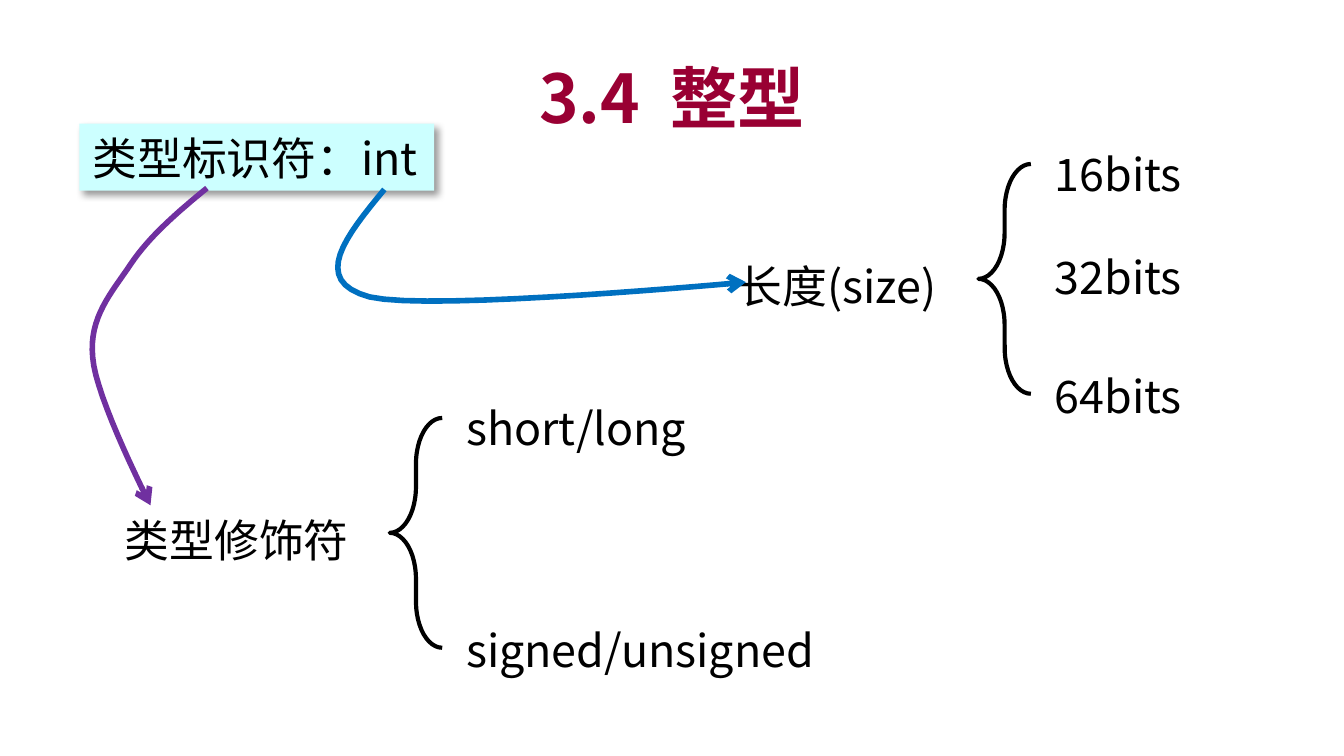
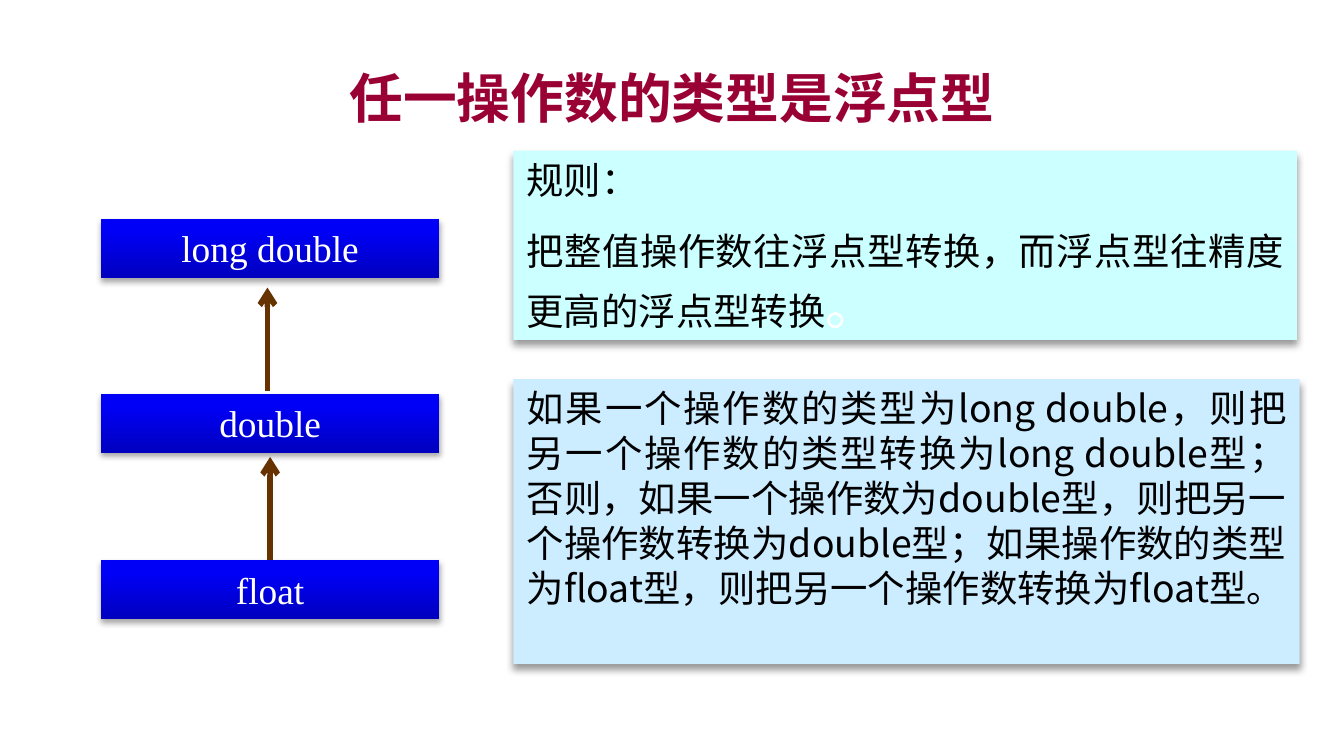
from copy import deepcopy
from dataclasses import dataclass

from lxml import etree
from pptx import Presentation
from pptx.dml.color import RGBColor
from pptx.enum.shapes import MSO_CONNECTOR, MSO_SHAPE
from pptx.enum.text import MSO_ANCHOR, PP_ALIGN
from pptx.oxml.ns import qn
from pptx.util import Emu, Pt

RECT, BRACE = MSO_SHAPE.RECTANGLE, MSO_SHAPE.LEFT_BRACE
STRAIGHT = MSO_CONNECTOR.STRAIGHT
LEFT, CENTER, JUSTIFY = PP_ALIGN.LEFT, PP_ALIGN.CENTER, PP_ALIGN.JUSTIFY
TOP, MIDDLE = MSO_ANCHOR.TOP, MSO_ANCHOR.MIDDLE
PX = 9144
SLIDE_WIDTH = 1000
BLANK = 6
CURVE_STEPS = 16


@dataclass(frozen=True)
class Theme:
    title: str = "990033"
    ink: str = "000000"
    paper: str = "FFFFFF"
    aqua: str = "CCFFFF"
    sky: str = "CCECFF"
    blue_arrow: str = "0070C0"
    purple_arrow: str = "7030A0"
    brown_arrow: str = "663300"
    type_stops: tuple = ((0, "0000BE"), (0.8, "0000F7"), (1, "0000F8"))
    sans: str = "Noto Sans CJK SC"
    sans_alt: str = "Noto Sans CJK KR"
    serif: str = "Times New Roman"
    stop_font: str = "Arial"
    title_size: float = 36
    long_title_size: float = 28.8
    label_size: float = 24
    body_size: float = 20
    stop_size: float = 28
    label_leading: float = 29
    body_leading: float = 24
    stop_leading: float = 34
    brace_line: float = 2.25
    arrow_line: float = 3


THEME = Theme()


def px(*lengths):
    return [Emu(length * PX) for length in lengths]


def rgb(color):
    return RGBColor.from_string(color)


def add_run(paragraph, text, size, font, color, bold=False, spread=0):
    run = paragraph.add_run()
    run.text = text
    run.font.size = Pt(size)
    run.font.bold = bold
    run.font.color.rgb = rgb(color)
    run.font.name = font
    properties = run.font._element
    etree.SubElement(properties, qn("a:ea")).set("typeface", font)
    if spread:
        properties.set("spc", str(spread * 100))


def write(holder, *runs, size=THEME.label_size, font=THEME.sans, color=THEME.ink,
          bold=False, align=LEFT, anchor=TOP, leading=None, before=0):
    frame = holder.text_frame
    frame.word_wrap = True
    frame.vertical_anchor = anchor
    paragraph = frame.paragraphs[0]
    if paragraph.runs:
        paragraph = frame.add_paragraph()
    paragraph.alignment = align
    paragraph.space_before = Pt(before)
    if leading:
        paragraph.line_spacing = Pt(leading)
    base = dict(size=size, font=font, color=color, bold=bold)
    for text, changes in runs:
        add_run(paragraph, text, **{**base, **changes})


def add_label(slide, box, text, font=THEME.sans):
    label = slide.shapes.add_textbox(*px(*box))
    write(label, (text, {}), font=font, leading=THEME.label_leading)


def add_title(slide, *runs, size):
    heading = slide.shapes.add_textbox(*px(75, 44, 850, 56))
    write(heading, *runs, size=size, color=THEME.title, bold=True,
          align=CENTER, anchor=MIDDLE)


def add_shadow(shape, alpha, blur, distance, angle):
    shape.shadow.inherit = False
    effects = shape._element.spPr.find(qn("a:effectLst"))
    shadow = etree.SubElement(effects, qn("a:outerShdw"), blurRad=str(Pt(blur)),
                              dist=str(Pt(distance)), dir=str(angle * 60000),
                              algn="ctr", rotWithShape="0")
    tint = etree.SubElement(shadow, qn("a:srgbClr"), val=THEME.ink)
    etree.SubElement(tint, qn("a:alpha"), val=str(alpha * 1000))


def add_panel(slide, box, fill=None, alpha=40, blur=4, distance=3, angle=90):
    panel = slide.shapes.add_shape(RECT, *px(*box))
    if fill:
        panel.fill.solid()
        panel.fill.fore_color.rgb = rgb(fill)
    else:
        fill_type_gradient(panel)
    panel.line.fill.background()
    add_shadow(panel, alpha, blur, distance, angle)
    return panel


def fill_type_gradient(panel):
    panel.fill.gradient()
    panel.fill.gradient_angle = 90
    stops = panel._element.spPr.find(".//" + qn("a:gsLst"))
    stops.insert(1, deepcopy(stops[0]))
    for stop, (position, color) in zip(panel.fill.gradient_stops, THEME.type_stops):
        stop.position = position
        stop.color.rgb = rgb(color)


def point_line(line_shape, color):
    line_shape.line.color.rgb = rgb(color)
    line_shape.line.width = Pt(THEME.arrow_line)
    properties = line_shape._element.spPr
    etree.SubElement(properties.find(qn("a:ln")), qn("a:tailEnd"), type="arrow")
    if properties.find(qn("a:effectLst")) is None:
        etree.SubElement(properties, qn("a:effectLst"))


def bezier(p0, p1, p2, p3):
    for step in range(1, CURVE_STEPS + 1):
        t = step / CURVE_STEPS
        u = 1 - t
        yield tuple(round(u**3 * a + 3 * u * u * t * b + 3 * u * t * t * c + t**3 * d)
                    for a, b, c, d in zip(p0, p1, p2, p3))


def add_curved_arrow(slide, color, origin, *knots):
    left, top = origin
    knots = [px(left + x, top + y) for x, y in ((0, 0), *knots)]
    points = [point for start in range(0, len(knots) - 1, 3)
              for point in bezier(*knots[start:start + 4])]
    builder = slide.shapes.build_freeform(*knots[0])
    builder.add_line_segments(points, close=False)
    arrow = builder.convert_to_shape()
    arrow.fill.background()
    arrow.shadow.inherit = False
    point_line(arrow, color)


def add_brace_group(slide, box, choices, label_width, font=THEME.sans):
    left, top, width, height = box
    brace = slide.shapes.add_shape(BRACE, *px(*box))
    brace.adjustments[0] = 0.88
    brace.adjustments[1] = 0.5
    brace.fill.background()
    brace.line.color.rgb = rgb(THEME.ink)
    brace.line.width = Pt(THEME.brace_line)
    brace.shadow.inherit = False
    for text, drop in choices:
        add_label(slide, (left + width + 8, top + drop, label_width, 50), text, font)


def add_type_ladder(slide, box):
    left, top, width, step_height = box
    for name, drop in (("float", 254), ("double", 130), ("long double", 0)):
        step = add_panel(slide, (left, top + drop, width, step_height),
                         alpha=35, blur=3.1, distance=1.8)
        write(step, (name, {}), size=THEME.body_size, font=THEME.serif,
              color=THEME.paper, align=CENTER)
    for x, drop in ((126, 254), (124, 128)):
        arrow = slide.shapes.add_connector(
            STRAIGHT, *px(left + x, top + drop, left + x, top + drop - 77))
        point_line(arrow, THEME.brown_arrow)


def add_rule_panel(slide, box):
    rule = add_panel(slide, box, THEME.aqua)
    write(rule, ("规则：", {}), size=THEME.body_size, leading=THEME.body_leading)
    write(rule, ("把整值操作数往浮点型转换，而浮点型往精度更高的浮点型转换", {}),
          ("。", dict(size=THEME.stop_size, color=THEME.paper)),
          size=THEME.body_size, align=JUSTIFY, leading=THEME.stop_leading, before=4)


def add_detail_panel(slide, box):
    detail = add_panel(slide, box, THEME.sky)
    write(detail,
          ("如果一个操作数的类型为long double，则把另一个操作数的类型转换为long double型；"
           "否则，如果一个操作数为double型，则把另一个操作数转换为double型；"
           "如果操作数的类型为float型，则把另一个操作数转换为float型", {}),
          ("。", dict(font=THEME.stop_font)),
          size=THEME.body_size, align=JUSTIFY, leading=THEME.body_leading)


def build_integer_slide(slide):
    add_title(slide, ("3.4", {}), (" ", dict(spread=8)), ("整型", {}),
              size=THEME.title_size)
    identifier = add_panel(slide, (59, 92, 264, 50), THEME.aqua, angle=45)
    write(identifier, ("类型标识符：int", {}), leading=THEME.label_leading)
    add_label(slide, (83, 376, 188, 50), "类型修饰符")
    add_brace_group(slide, (290, 311, 39, 171),
                    (("short/long", -18), ("signed/unsigned", 147)),
                    317, THEME.sans_alt)
    add_label(slide, (539, 187, 170, 50), "长度(size)")
    add_brace_group(slide, (728, 122, 39, 171),
                    (("16bits", -18), ("32bits", 59), ("64bits", 147)), 119)
    add_curved_arrow(slide, THEME.blue_arrow, (286, 141),
                     (-28, 34), (-56, 68), (-11, 80),
                     (34, 91), (269, 69), (269, 69))
    add_curved_arrow(slide, THEME.purple_arrow, (154, 140),
                     (-22, 18), (-43, 36), (-57, 57),
                     (-71, 78), (-88, 96), (-85, 126),
                     (-83, 156), (-42, 236), (-42, 236))


def build_float_slide(slide):
    add_title(slide, ("任一操作数的类型是浮点型", {}), size=THEME.long_title_size)
    add_type_ladder(slide, (75, 163, 252, 44))
    add_rule_panel(slide, (382, 112, 583, 141))
    add_detail_panel(slide, (382, 282, 585, 212))


def main():
    deck = Presentation()
    deck.slide_width, deck.slide_height = px(SLIDE_WIDTH, SLIDE_WIDTH * 9 / 16)
    for build in (build_integer_slide, build_float_slide):
        build(deck.slides.add_slide(deck.slide_layouts[BLANK]))
    deck.save("out.pptx")


if __name__ == "__main__":
    main()
